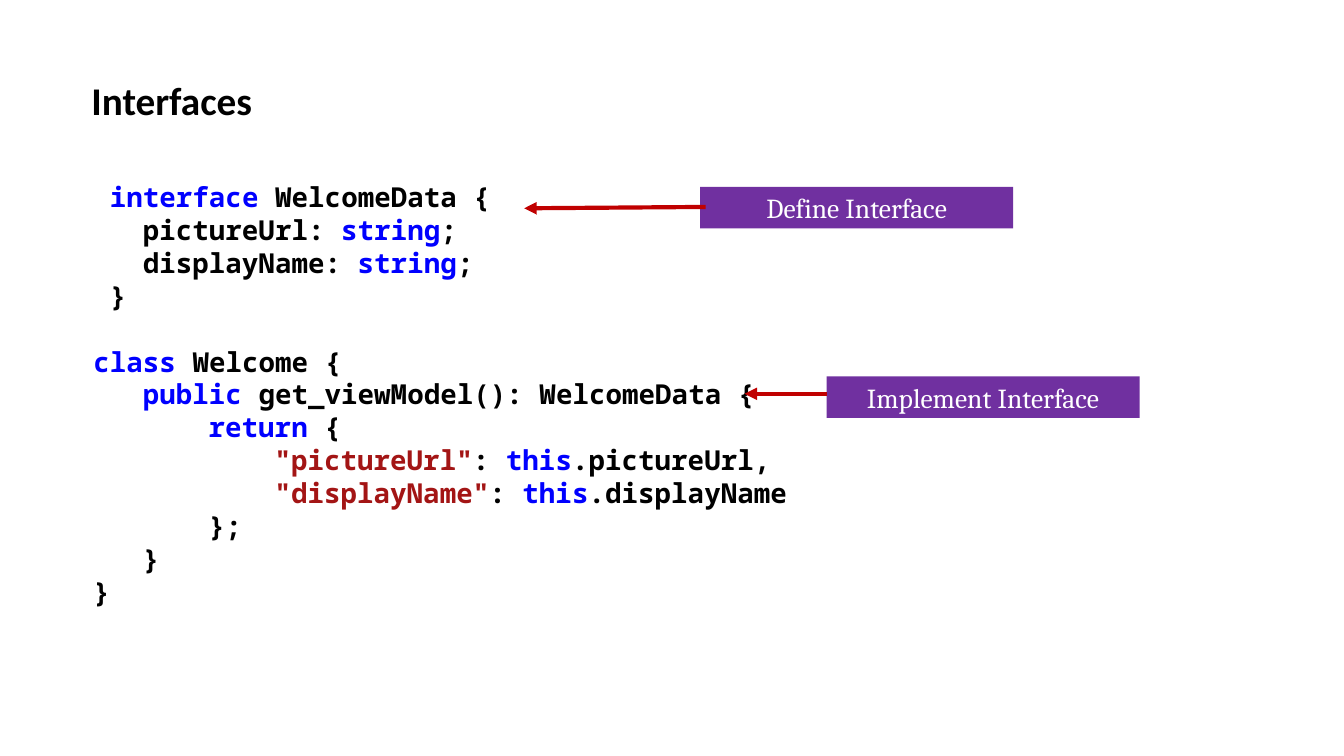
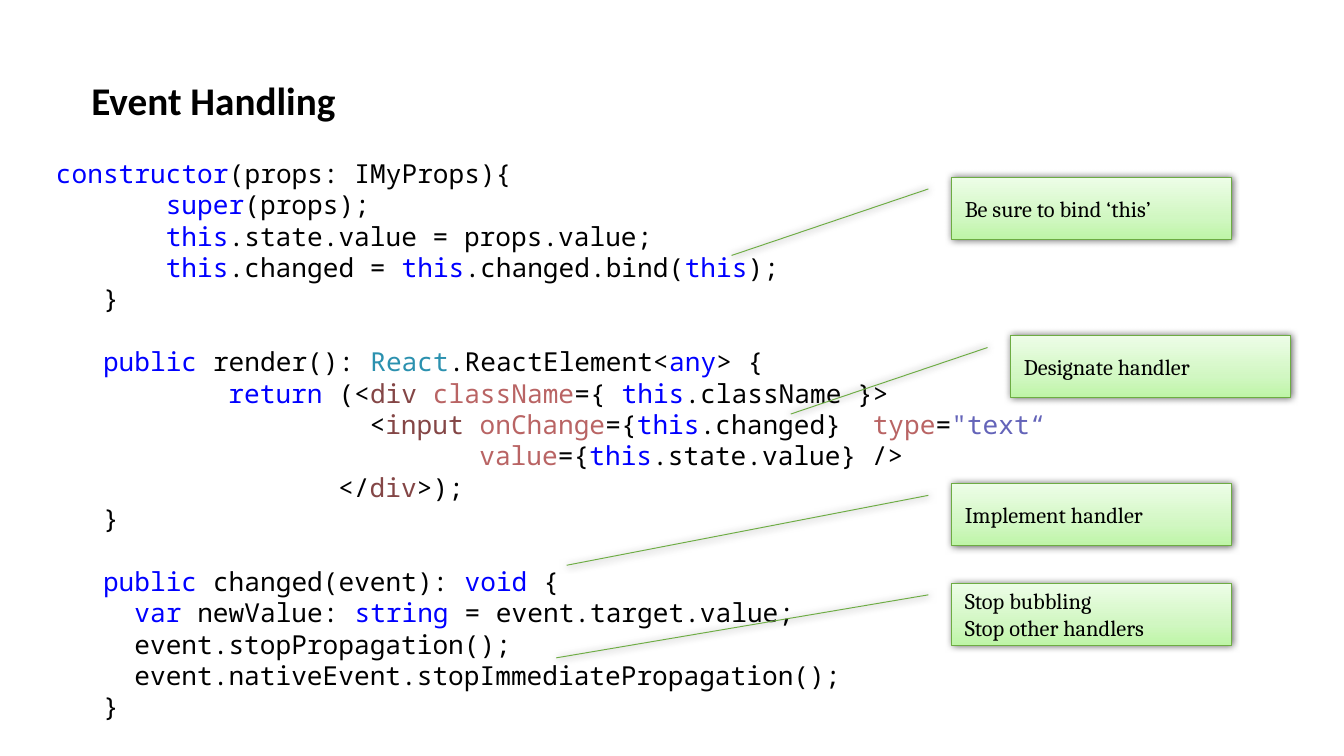
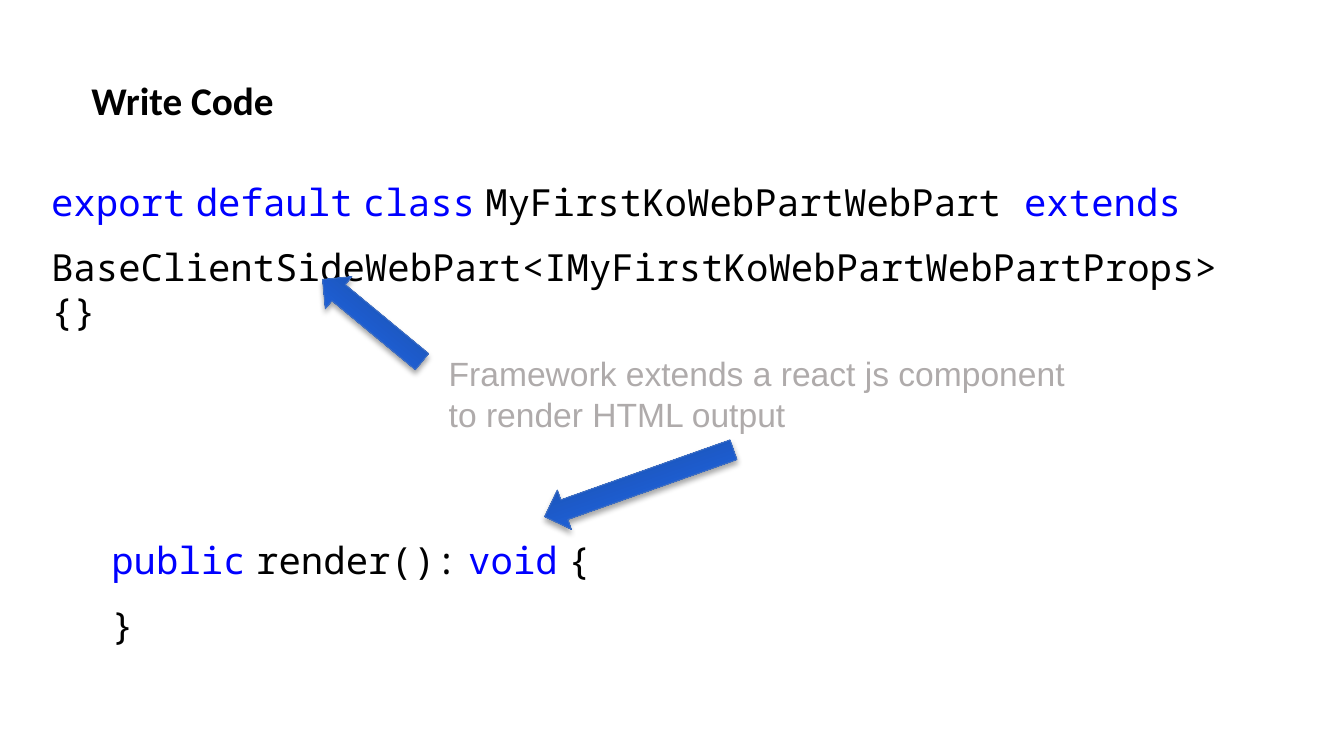
from lxml.etree import SubElement
from pptx import Presentation
from pptx.dml.color import RGBColor
from pptx.enum.shapes import MSO_CONNECTOR, MSO_SHAPE
from pptx.enum.text import MSO_ANCHOR, MSO_AUTO_SIZE, PP_ALIGN
from pptx.oxml import parse_xml
from pptx.oxml.ns import nsdecls, qn
from pptx.util import Inches, Pt

MONO, SERIF = "Noto Sans Mono", "Cambria"
TITLE_BOX = (0.58, 0.52, 8.82, 0.37)
TOKENS = {"k": "0000FF", "s": "A31515", "t": "2B91AF",
          "e": "844646", "a": "B96464", "v": "6464B9", "gap": "000000"}

INTERFACE_CODE = [
    "   `k interface` WelcomeData {",
    "     pictureUrl: `k string`;",
    "     displayName: `k string`;",
    "   }",
    "",
    "  `k class` Welcome {",
    "     `k public` get_viewModel(): WelcomeData {",
    "         `k return` {",
    "             `s \"pictureUrl\"`: `k this`.pictureUrl,",
    "             `s \"displayName\"`: `k this`.displayName",
    "         };",
    "     }",
    "  }",
]
LABELS = [("Implement Interface", 6.15, 2.8), ("Define Interface", 5.21, 1.39)]
POINTERS = [(5.25, 1.54, 3.9, 1.55), (6.15, 2.93, 5.54, 2.93)]

EVENT_CODE = [
    " `k constructor`(props: IMyProps){",
    "        `k super`(props);",
    "        `k this`.state.value = props.value;",
    "        `k this`.changed = `k this`.changed.bind(`k this`);",
    "    }",
    "",
    "    `k public` render(): `t React`.ReactElement<`k any`> {",
    "            `k return` (<`e div` `a className`={ `k this`.className }>",
    "                     <`e input` `a onChange`={`k this`.changed}  `a type`=`v \"text“`",
    "                            `a value`={`k this`.state.value} />",
    "                   </`e div`>);",
    "    }",
    "",
    "    `k public` changed(event): `k void` {",
    "      `k var` newValue: `k string` = event.target.value;",
    "      event.stopPropagation();",
    "      event.nativeEvent.stopImmediatePropagation();",
    "    }",
]
CALLOUTS = [
    ("Be sure to bind ‘this’", 7.08, 1.32, 1.264, -0.787),
    ("Designate handler", 7.52, 2.5, 1.264, -0.787),
    ("Implement handler", 7.08, 3.6, 1.319, -1.377),
    ("Stop bubbling\nStop other handlers", 7.08, 4.34, 1.208, -1.414),
]
GREEN = [(0, "BEF5A7"), (35, "D1F7C2"), (100, "EDFDE7")]

CLASS_CODE = [
    "`k export``gap  ``k default``gap  ``k class``gap  `MyFirstKoWebPartWebPart `k extends`",
    "",
    "BaseClientSideWebPart<IMyFirstKoWebPartWebPartProps>`gap  `{}",
]
RENDER_CODE = ["`k public``gap  `render():`gap  ``k void``gap  `{", "", "}"]
REMARK = "Framework extends a react js component\nto render HTML output"
ARROWS = [(2.29, 2.23, 0.96, 219.6), (4.01, 3.44, 1.49, 160.5)]
BLUE = [(0, "16469B"), (65, "1F61D7"), (100, "2066E2")]


def rgb(color):
    return RGBColor.from_string(color)


def place(sp, *box):
    sp.left, sp.top, sp.width, sp.height = map(Inches, box)


def set_font(r, name, size, color, bold=False):
    r.font.name, r.font.size, r.font.bold = name, Pt(size), bold
    r.font.color.rgb = rgb(color)


def write(tf, text, name, size, color, align=PP_ALIGN.LEFT, bold=False):
    tf.text = text
    tf.word_wrap = True
    for p in tf.paragraphs:
        p.alignment = align
        p.space_before = Pt(0)
        for r in p.runs:
            set_font(r, name, size, color, bold)


def write_code(tf, lines, size, blank, bold=False):
    """Turn leading spaces into indents, empty lines into spacing and `key text` into colour."""
    tf.word_wrap = True
    tf.auto_size = MSO_AUTO_SIZE.NONE
    tf.vertical_anchor = MSO_ANCHOR.TOP
    p, before = tf.paragraphs[0], 0
    for number, line in enumerate(lines):
        if not line:
            before = blank
            continue
        if number:
            p = tf.add_paragraph()
        p.line_spacing, p.space_before = Pt(1.2 * size), Pt(before)
        before = 0
        code = line.lstrip()
        pPr = p._p.get_or_add_pPr()
        pPr.set("marL", str(Pt(0.6 * size * (len(line) - len(code)))))
        pPr.set("indent", "0")
        SubElement(pPr, qn("a:buNone"))
        for i, piece in enumerate(code.split("`")):
            key, text = piece.split(" ", 1) if i % 2 else ("", piece)
            if text:
                r = p.add_run()
                r.text = text
                set_font(r, MONO, 9 if key == "gap" else size, TOKENS.get(key, "000000"), bold)


def add_slide(prs, title, box, lines, size, blank, bold=False):
    s = prs.slides.add_slide(prs.slide_layouts[1])
    head, body = s.placeholders
    place(head, *TITLE_BOX)
    tf = head.text_frame
    write(tf, title, "Calibri", 21, "000000", bold=True)
    tf.auto_size = MSO_AUTO_SIZE.NONE
    tf.vertical_anchor = MSO_ANCHOR.TOP
    tf.margin_top = Inches(0.05)
    place(body, *box)
    write_code(body.text_frame, lines, size, blank, bold)
    return s, body


def add_box(s, *box):
    return s.shapes.add_textbox(*map(Inches, box)).text_frame


def add_glossy(s, kind, box, stops, edge, alpha, blur, dist):
    """Add a shape with an upward gradient, a thin edge and a soft shadow."""
    sp = s.shapes.add_shape(kind, *map(Inches, box))
    sp.line.color.rgb, sp.line.width = rgb(edge), Pt(0.5)
    stops_xml = "".join(f'<a:gs pos="{pos * 1000}"><a:srgbClr val="{color}"/></a:gs>'
                        for pos, color in stops)
    spPr = sp._element.spPr
    spPr.find(qn("a:prstGeom")).addnext(parse_xml(
        f'<a:gradFill {nsdecls("a")} rotWithShape="1"><a:gsLst>{stops_xml}</a:gsLst>'
        '<a:lin ang="16200000" scaled="0"/></a:gradFill>'))
    spPr.append(parse_xml(
        f'<a:effectLst {nsdecls("a")}><a:outerShdw blurRad="{Pt(blur)}" dist="{Pt(dist)}" '
        'dir="5400000" rotWithShape="0"><a:srgbClr val="000000">'
        f'<a:alpha val="{alpha * 1000}"/></a:srgbClr></a:outerShdw></a:effectLst>'))
    return sp


def add_label(s, text, x, y):
    sp = s.shapes.add_shape(MSO_SHAPE.RECTANGLE, *map(Inches, (x, y, 2.33, 0.31)))
    sp.shadow.inherit = False
    sp.fill.solid()
    sp.fill.fore_color.rgb = rgb("7030A0")
    sp.line.fill.background()
    tf = sp.text_frame
    tf.margin_left = tf.margin_right = 0
    tf.margin_top = tf.margin_bottom = Inches(0.04)
    tf.vertical_anchor = MSO_ANCHOR.MIDDLE
    write(tf, text, SERIF, 14.7, "FFFFFF", PP_ALIGN.CENTER)


def add_pointer(s, *ends):
    line = s.shapes.add_connector(MSO_CONNECTOR.STRAIGHT, *map(Inches, ends))
    line.line.color.rgb, line.line.width = rgb("C00000"), Pt(2.25)
    SubElement(line.line._get_or_add_ln(), qn("a:tailEnd"), type="triangle")
    SubElement(line._element.spPr, qn("a:effectLst"))


def interfaces_slide(prs):
    s, body = add_slide(prs, "Interfaces", (0.38, 1.28, 7.72, 3.54),
                        INTERFACE_CODE, 14.7, 17.64, True)
    body.fill.solid()
    body.fill.fore_color.rgb = rgb("FFFFFF")
    tf = body.text_frame
    tf.margin_left = tf.margin_right = Inches(0.07)
    tf.margin_top = Inches(0.06)
    for label in LABELS:
        add_label(s, *label)
    for ends in POINTERS:
        add_pointer(s, *ends)


def events_slide(prs):
    s, _ = add_slide(prs, "Event Handling", (0.2, 1.12, 9.48, 4.34), EVENT_CODE, 14, 16.8)
    for text, x, y, end_y, end_x in CALLOUTS:
        sp = add_glossy(s, MSO_SHAPE.LINE_CALLOUT_1, (x, y, 2.08, 0.46), GREEN, "6DAC43", 64, 4, 0)
        for i, value in enumerate((0.188, -0.083, end_y, end_x)):
            sp.adjustments[i] = value
        sp.text_frame.vertical_anchor = MSO_ANCHOR.MIDDLE
        write(sp.text_frame, text, SERIF, 12, "000000")


def code_slide(prs):
    s, _ = add_slide(prs, "Write Code", (0.28, 1.28, 9.22, 1.25), CLASS_CODE, 20, 10.8)
    write_code(add_box(s, 0.73, 3.95, 6.69, 0.93), RENDER_CODE, 20, 10.8)
    write(add_box(s, 3.24, 2.58, 5.75, 0.71), REMARK, "Arial", 18, "AFABAB")
    for x, y, width, angle in ARROWS:
        sp = add_glossy(s, MSO_SHAPE.RIGHT_ARROW, (x, y, width, 0.31), BLUE, "3F6FC3", 35, 3.1, 2)
        sp.rotation = angle


def main():
    prs = Presentation()
    prs.slide_width = Inches(10)
    prs.slide_height = prs.slide_width * 9 // 16
    interfaces_slide(prs)
    events_slide(prs)
    code_slide(prs)
    prs.save("out.pptx")


if __name__ == "__main__":
    main()
